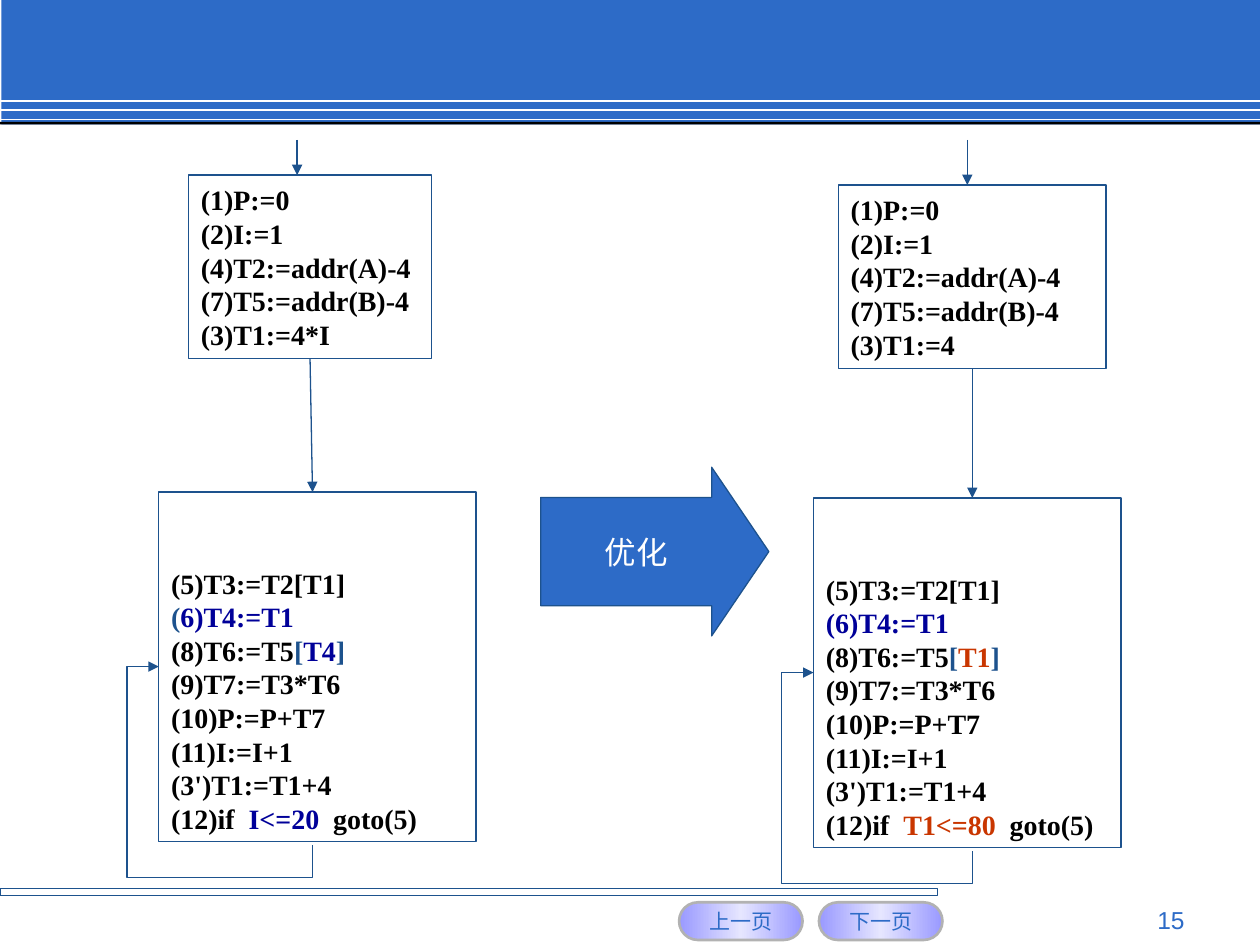
import copy
import dataclasses
import pptx
import pptx.dml.color
import pptx.enum.shapes
import pptx.enum.text
import pptx.oxml
import pptx.oxml.ns
import pptx.util

Cm, Pt = pptx.util.Cm, pptx.util.Pt
KIND = pptx.enum.shapes.MSO_SHAPE
LINK = pptx.enum.shapes.MSO_CONNECTOR
ANCHOR = pptx.enum.text.MSO_ANCHOR
ALIGN = pptx.enum.text.PP_ALIGN

HUES = {
    "blue": "2D6BC7", "edge": "1D528D", "white": "FFFFFF", "black": "000000",
    "navy": "000099", "red": "C93600", "lilac": "9999FF", "pale": "E6E6FF",
    "grey": "B2B2B2",
}
FONTS = {
    "code": {"name": "Times New Roman", "size": Pt(16), "bold": True},
    "arrow": {"name": "Times New Roman", "size": Pt(18)},
    "button": {"name": "Arial", "size": Pt(12)},
    "page": {"name": "Arial", "size": Pt(14)},
}
INSETS = {
    "margin_left": Cm(0.25), "margin_right": Cm(0.25),
    "margin_top": Cm(0.13), "margin_bottom": Cm(0.13),
}


@dataclasses.dataclass
class Box:
    left: float
    top: float
    width: float
    height: float

    @property
    def base(self) -> float:
        return self.top + self.height

    def cm(self) -> list:
        return [Cm(v) for v in (self.left, self.top, self.width, self.height)]


@dataclasses.dataclass
class Flow:
    """One flow graph: a start block, a loop block and the arrows' x places."""
    start: Box
    loop: Box
    entry: float
    leave: float
    arrive: float
    start_code: list
    loop_code: list


def hue(key: str):
    return pptx.dml.color.RGBColor.from_string(HUES[key])


def write(shape, lines: list, font: str, tint="black", align=ALIGN.LEFT,
          anchor=ANCHOR.MIDDLE, wrap=True) -> None:
    """Each line is a string, or a list of (text, colour) pairs."""
    frame = shape.text_frame
    layout = {**INSETS, "word_wrap": wrap, "vertical_anchor": anchor}
    for key, value in layout.items():
        setattr(frame, key, value)
    for i, line in enumerate(lines):
        para = frame.add_paragraph() if i else frame.paragraphs[0]
        para.alignment = align
        for text, color in [(line, tint)] if isinstance(line, str) else line:
            run = para.add_run()
            run.text = text
            for key, value in FONTS[font].items():
                setattr(run.font, key, value)
            run.font.color.rgb = hue(color)


def block(slide, box: Box, fill=None, edge=None, weight=0.75,
          kind=KIND.RECTANGLE, bends=()):
    shape = slide.shapes.add_shape(kind, *box.cm())
    shape.shadow.inherit = False
    for i, bend in enumerate(bends):
        shape.adjustments[i] = bend
    if fill:
        shape.fill.solid()
        shape.fill.fore_color.rgb = hue(fill)
    else:
        shape.fill.background()
    if edge:
        shape.line.color.rgb = hue(edge)
        shape.line.width = Pt(weight)
    else:
        shape.line.fill.background()
    return shape


def line(slide, x1: float, y1: float, x2: float, y2: float, tint="edge",
         weight=0.75, head=True, kind=LINK.STRAIGHT):
    link = slide.shapes.add_connector(kind, Cm(x1), Cm(y1), Cm(x2), Cm(y2))
    link.line.color.rgb = hue(tint)
    link.line.width = Pt(weight)
    props = link._element.spPr
    if head:
        tip = pptx.oxml.ns.qn("a:tailEnd")
        props.find(pptx.oxml.ns.qn("a:ln")).makeelement(tip)
        end = pptx.oxml.parse_xml(
            f'<a:tailEnd {pptx.oxml.ns.nsdecls("a")} type="triangle"/>')
        props.find(pptx.oxml.ns.qn("a:ln")).append(end)
    props.append(pptx.oxml.parse_xml(
        f'<a:effectLst {pptx.oxml.ns.nsdecls("a")}/>'))
    return link


def back_edge(slide, x1: float, y1: float, x2: float, y2: float,
              drop=0.66, out=0.64) -> None:
    """Elbow that drops below its start, runs left and turns in at its end."""
    wide, high = x1 - x2, y1 - y2
    mid_x, mid_y = (x1 + x2) / 2, (y1 + y2) / 2
    # The elbow is laid out along its long side, then turned upright.
    link = line(slide, mid_x - high / 2, mid_y + wide / 2,
                mid_x + high / 2, mid_y - wide / 2, kind=LINK.ELBOW)
    link.rotation = 270
    geom = link._element.spPr.find(pptx.oxml.ns.qn("a:prstGeom"))
    geom.set("prst", "bentConnector4")
    for old in list(geom):
        geom.remove(old)
    bends = (-drop / high, 1 + out / wide)
    guides = "".join(f'<a:gd name="adj{i}" fmla="val {round(b * 100000)}"/>'
                     for i, b in enumerate(bends, 1))
    geom.append(pptx.oxml.parse_xml(
        f'<a:avLst {pptx.oxml.ns.nsdecls("a")}>{guides}</a:avLst>'))


def button(slide, left: float, label: str) -> None:
    shape = block(slide, Box(left, 18.19, 2.49, 0.76), edge="grey", weight=1.5,
                  kind=KIND.ROUNDED_RECTANGLE, bends=(0.5,))
    fill = shape.fill
    fill.gradient()
    fill.gradient_angle = 0
    stops = shape._element.spPr.find(".//" + pptx.oxml.ns.qn("a:gsLst"))
    stops.insert(1, copy.deepcopy(stops[0]))
    shades = ((0, "lilac"), (0.5, "pale"), (1, "lilac"))
    for stop, (place, key) in zip(fill.gradient_stops, shades):
        stop.position = place
        stop.color.rgb = hue(key)
    write(shape, [label], "button", "blue", ALIGN.CENTER, wrap=False)


def start_code(last: str) -> list:
    return ["(1)P:=0", "(2)I:=1", "(4)T2:=addr(A)-4", "(7)T5:=addr(B)-4", last]


def loop_code(paren: str, index: str, test: str, tint: str) -> list:
    return [
        "(5)T3:=T2[T1]",
        [("(", paren), ("6)T4:=T1", "navy")],
        [("(8)T6:=T5", "black"), ("[", "edge"), (index, tint), ("]", "edge")],
        "(9)T7:=T3*T6", "(10)P:=P+T7", "(11)I:=I+1", "(3')T1:=T1+4",
        [("(12)if  ", "black"), (test + "  ", tint), ("goto(5)", "black")],
    ]


def draw_flow(slide, flow: Flow) -> None:
    start, loop = flow.start, flow.loop
    write(block(slide, start, edge="edge"), flow.start_code, "code")
    write(block(slide, loop, edge="edge"), flow.loop_code, "code",
          anchor=ANCHOR.BOTTOM)
    line(slide, flow.entry, 2.82, flow.entry, start.top)
    line(slide, flow.leave, start.base, flow.arrive, loop.top)
    back_edge(slide, flow.arrive, loop.base + 0.08,
              loop.left, loop.top + loop.height / 2)


def main() -> None:
    deck = pptx.Presentation()
    deck.slide_width, deck.slide_height = Cm(25.4), Cm(19.05)
    slide = deck.slides.add_slide(deck.slide_layouts[6])

    # Banner and footer rule
    block(slide, Box(0.03, 0, 25.37, 2.51), "blue")
    for y in (2.03, 2.22, 2.41):
        line(slide, 0, y, 25.4, y, "white", 1, head=False)
    block(slide, Box(0, 2.46, 25.4, 0.05), "black")
    block(slide, Box(0, 17.91, 18.9, 0.15), edge="edge")

    # Page buttons
    button(slide, 13.69, "上一页")
    button(slide, 16.51, "下一页")

    # Flow graphs before and after
    draw_flow(slide, Flow(
        Box(3.8, 3.53, 4.9, 3.7), Box(3.2, 9.92, 6.4, 7.04), 5.99, 6.25, 6.3,
        start_code("(3)T1:=4*I"), loop_code("edge", "T4", "I<=20", "navy")))
    draw_flow(slide, Flow(
        Box(16.9, 3.73, 5.4, 3.7), Box(16.4, 10.04, 6.2, 7.04), 19.5, 19.6, 19.6,
        start_code("(3)T1:=4"), loop_code("navy", "T1", "T1<=80", "red")))

    # Arrow between the graphs
    arrow = block(slide, Box(10.9, 9.42, 4.6, 3.4), "blue", "edge",
                  kind=KIND.RIGHT_ARROW, bends=(0.642, 0.339))
    write(arrow, ["优化"], "arrow", "white", ALIGN.CENTER, wrap=False)

    # Page number
    page = slide.shapes.add_textbox(*Box(18.21, 18.11, 5.92, 0.69).cm())
    write(page, ["15"], "page", "blue", ALIGN.RIGHT, ANCHOR.TOP)

    deck.save("out.pptx")


if __name__ == "__main__":
    main()
